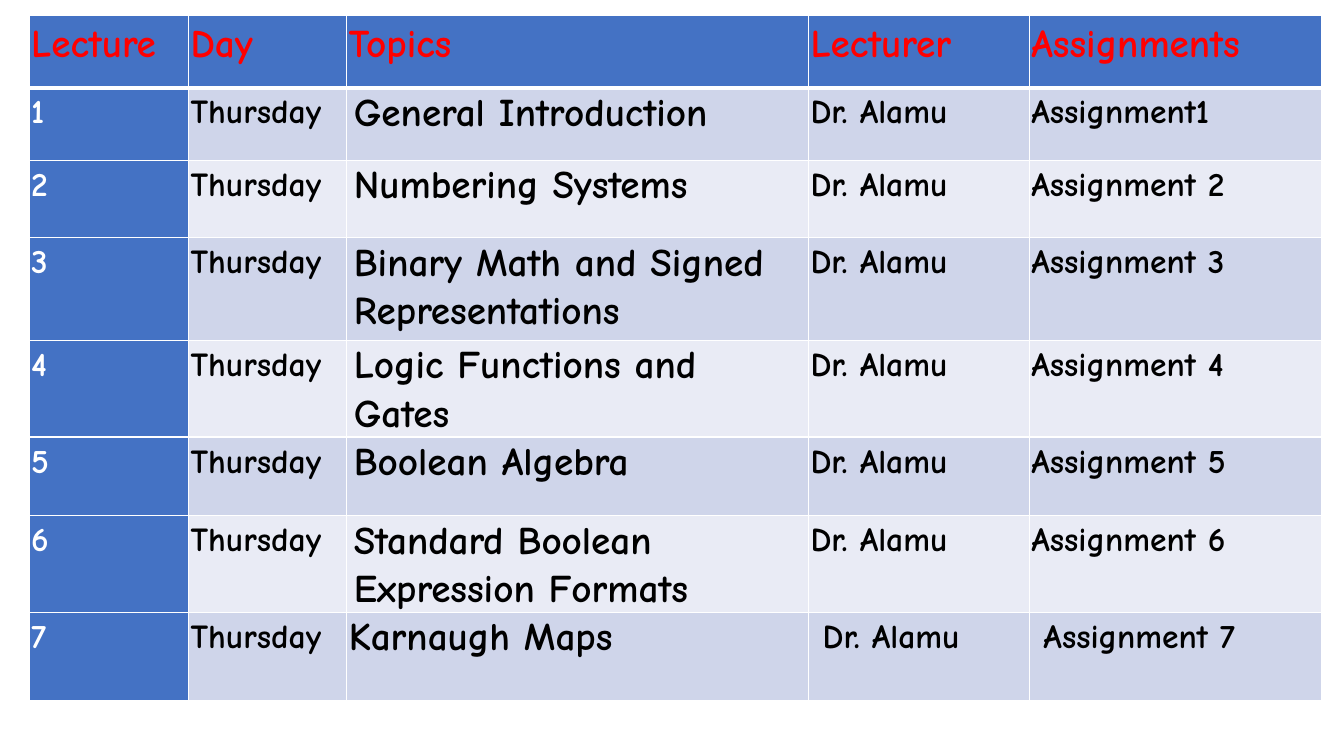
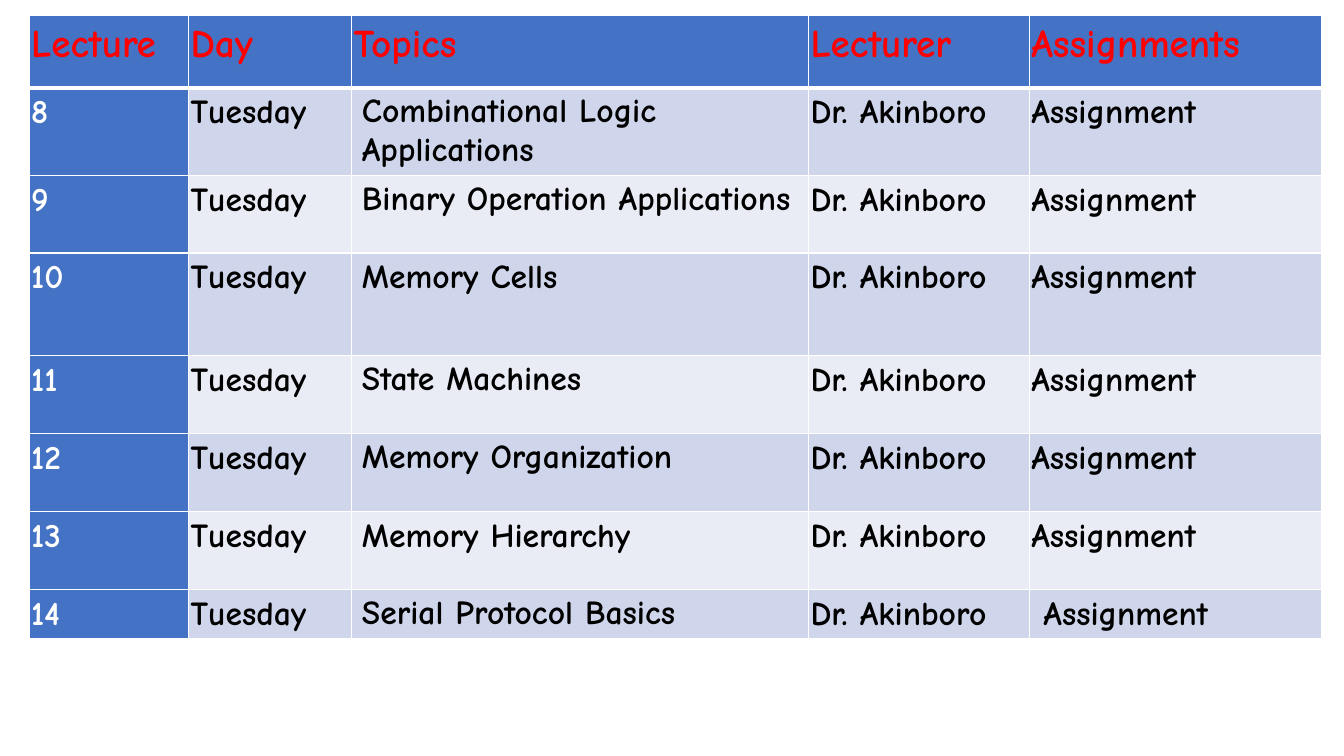
import pptx
import pptx.dml.color
import pptx.oxml.ns
import pptx.util
from lxml import etree

Inches, Pt = pptx.util.Inches, pptx.util.Pt

# Shared look
FONT = "Comic Neue"
COLOURS = {"accent": "4472C4", "heading": "FF0000", "light": "FFFFFF",
           "text": "000000", "odd": "CFD5EA", "even": "E9EBF5"}
LEFT, TOP, WIDTH = 0.29, 0.15, 12.82
HEADINGS = ["Lecture", "Day", "Topics", "Lecturer", "Assignments"]
TOPIC_COLUMN = 2
NARROW = (0.02, 0)
# Cells set further in than their column: lecture and column
INSET_CELLS = {(7, 3), (7, 4), (14, 4)}

# Content
SCHEDULES = [
    {
        "day": "Thursday", "lecturer": "Dr. Alamu", "first": 1,
        "topics": ["General Introduction", "Numbering Systems",
                   "Binary Math and Signed Representations",
                   "Logic Functions and Gates", "Boolean Algebra",
                   "Standard Boolean Expression Formats", "Karnaugh Maps"],
        "assignments": ["Assignment1"] + [f"Assignment {n}" for n in range(2, 8)],
        "columns": [1.58, 1.57, 4.58, 2.19, 2.9],
        "rows": [0.72, 0.72, 0.77, 1.02, 0.95, 0.78, 0.96, 0.88],
        "topic_style": {"size": 28, "margins": (0.07, 0), "spacing": 1.07, "after": 8},
        "plain_topics": {7},
    },
    {
        "day": "Tuesday", "lecturer": "Dr. Akinboro", "first": 8,
        "topics": ["Combinational Logic Applications",
                   "Binary Operation Applications", "Memory Cells",
                   "State Machines", "Memory Organization",
                   "Memory Hierarchy", "Serial Protocol Basics"],
        "assignments": ["Assignment"] * 7,
        "columns": [1.58, 1.62, 4.53, 2.19, 2.9],
        "rows": [0.72, 0.87, 0.77, 1.02, 0.77, 0.78, 0.77, 0.49],
        "topic_style": {"size": 24, "margins": (0.1, 0.05), "spacing": 1.0, "after": 0},
        "plain_topics": set(),
    },
]


def rgb(name):
    return pptx.dml.color.RGBColor.from_string(COLOURS[name])


def set_borders(cell, top, bottom):
    properties = cell._tc.get_or_add_tcPr()
    qn = pptx.oxml.ns.qn
    for side, points in (("L", 1), ("R", 1), ("T", top), ("B", bottom)):
        line = etree.SubElement(properties, qn(f"a:ln{side}"), w=str(Pt(points)))
        fill = etree.SubElement(line, qn("a:solidFill"))
        etree.SubElement(fill, qn("a:srgbClr"), val=COLOURS["light"])


def style_cell(cell, text, fill, colour, size=24, margins=NARROW, spacing=1.15, after=0):
    cell.margin_left = cell.margin_right = Inches(margins[0])
    cell.margin_top = cell.margin_bottom = Inches(margins[1])
    cell.fill.solid()
    cell.fill.fore_color.rgb = rgb(fill)
    cell.text_frame.text = text
    para = cell.text_frame.paragraphs[0]
    para.line_spacing = spacing
    para.space_after = Pt(after)
    font = para.runs[0].font
    font.name, font.size, font.bold = FONT, Pt(size), True
    font.color.rgb = rgb(colour)


def add_schedule(page, schedule):
    widths, heights = schedule["columns"], schedule["rows"]
    table = page.shapes.add_table(
        len(heights), len(widths), Inches(LEFT), Inches(TOP),
        Inches(WIDTH), Inches(sum(heights))).table
    table.horz_banding = False
    for column, width in zip(table.columns, widths):
        column.width = Inches(width)
    for row, height in zip(table.rows, heights):
        row.height = Inches(height)

    # Heading row, with a thick rule below
    for column, heading in enumerate(HEADINGS):
        cell = table.cell(0, column)
        set_borders(cell, 1, 3)
        style_cell(cell, heading, "accent", "heading", size=28)

    # One row for each lecture
    lessons = zip(schedule["topics"], schedule["assignments"])
    for row, (topic, assignment) in enumerate(lessons, 1):
        lecture = schedule["first"] + row - 1
        values = [str(lecture), schedule["day"], topic, schedule["lecturer"], assignment]
        for column, value in enumerate(values):
            cell = table.cell(row, column)
            set_borders(cell, 3 if row == 1 else 1, 1)
            style = dict(schedule["topic_style"]) if column == TOPIC_COLUMN else {}
            if style and lecture in schedule["plain_topics"]:
                style.update(margins=NARROW, after=0)
            fill = "accent" if column == 0 else "odd" if row % 2 else "even"
            style_cell(cell, value, fill, "light" if column == 0 else "text", **style)
            if (lecture, column) in INSET_CELLS:
                cell.margin_left = Inches(0.14)


def main():
    deck = pptx.Presentation()
    deck.slide_width, deck.slide_height = Inches(13.33), Inches(7.5)
    for schedule in SCHEDULES:
        add_schedule(deck.slides.add_slide(deck.slide_layouts[6]), schedule)
    deck.save("out.pptx")


if __name__ == "__main__":
    main()
